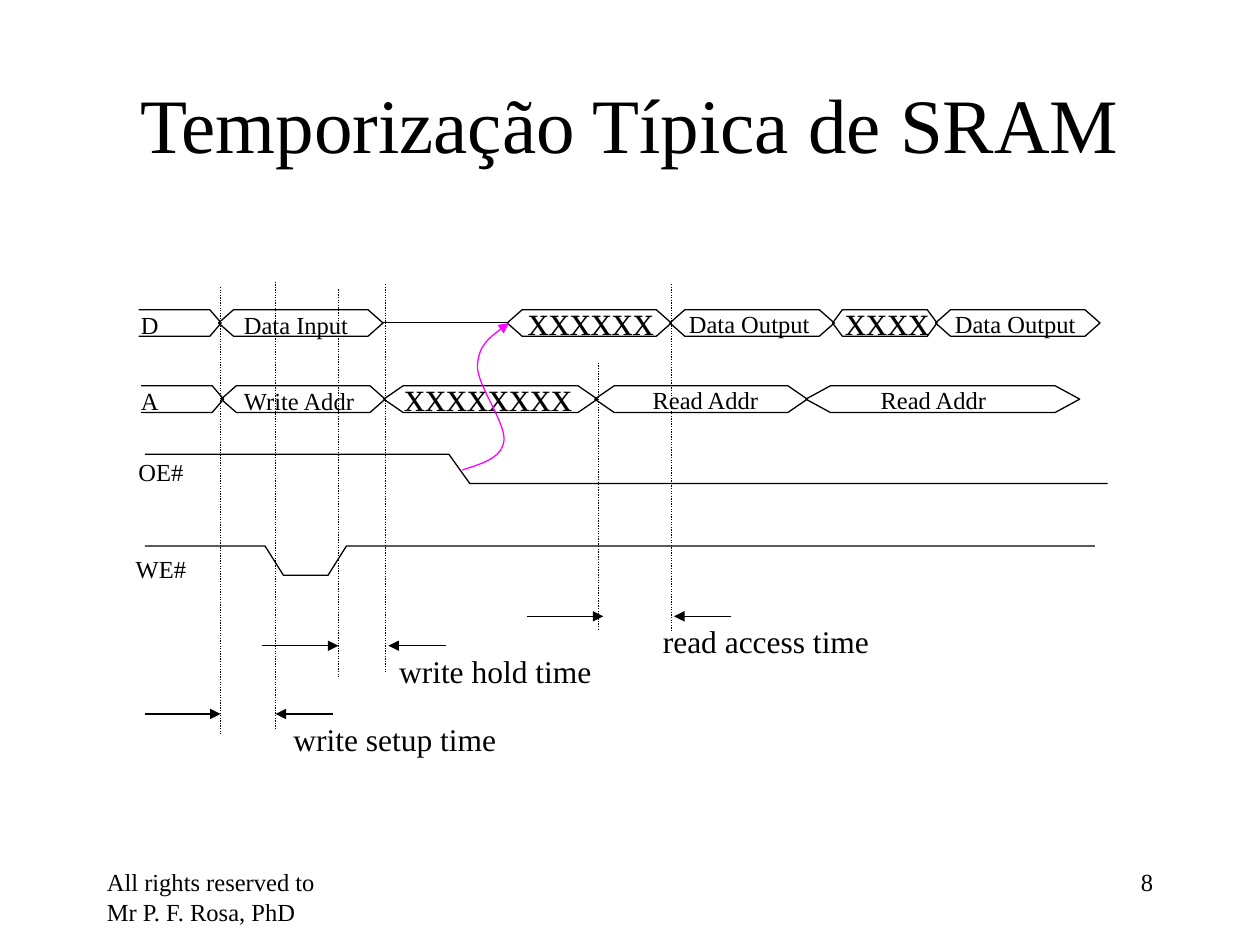
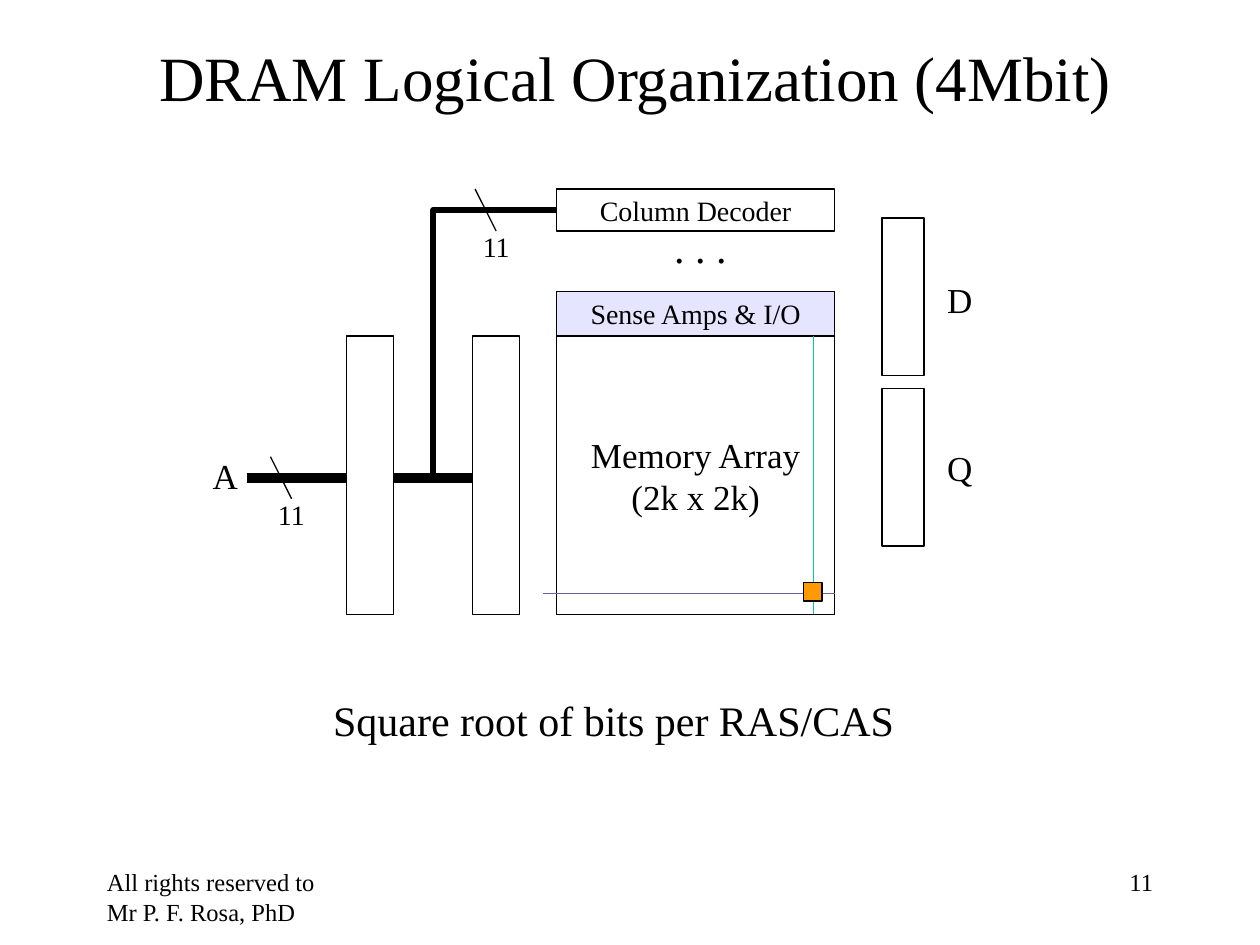
from pptx import Presentation
from pptx.dml.color import RGBColor
from pptx.enum.dml import MSO_LINE
from pptx.enum.shapes import MSO_CONNECTOR, MSO_SHAPE
from pptx.enum.text import MSO_ANCHOR, MSO_AUTO_SIZE, PP_ALIGN
from pptx.oxml.ns import qn
from pptx.util import Pt
from lxml.etree import SubElement

# Shared look
FONT = "Times New Roman"
BLACK, WHITE, MAGENTA = "000000", "FFFFFF", "FF00FF"
LILAC, SLATE, GREEN, ORANGE = "CCCCFF", "666699", "00CC99", "FF9900"
THIN = 0.75
FOOTER = "All rights reserved to Mr P. F. Rosa, PhD"

# SRAM timing: bus cells are (left tip, right tip, slant)
BUS_HEIGHT = 15.2
BUSES = [
    {"top": 177, "open": (79.2, 126.4, 6.5), "cells": [
        (124.9, 218.9, 8.6), (289.8, 383.6, 8.6), (382.8, 476.8, 8.6),
        (475.8, 535.5, 5.6), (534.6, 628.6, 8.6)]},
    {"top": 220.5, "open": (80.6, 127.8, 6.5), "cells": [
        (126.4, 220.1, 8.6), (219.3, 341.4, 11), (339.9, 461.3, 11),
        (460.5, 617, 14)]},
]
IDLE_DATA = (218.9, 184.3, 290.9, 184.3)
SIGNALS = [
    [(82.8, 259.5), (256.5, 259.5), (268.5, 276.3), (633, 276.3)],
    [(82.8, 312), (151.5, 312), (162, 328.7), (187.5, 328.7), (198, 312),
     (625.7, 312)],
]
# Labels: text, left, top, width, size
TIMING_LABELS = [
    ("xxxxxxxx", 223.9, 207.4, 111, 24), ("xxxxxx", 294.5, 164.2, 87, 24),
    ("xxxx", 475.9, 164.2, 63, 24),
    ("D", 73.4, 173.8, 24.5, 14), ("Data Input", 132.3, 173.8, 74, 14),
    ("A", 73.4, 217.3, 24.5, 14), ("Write Addr", 132.3, 217.3, 78.5, 14),
    ("Read Addr", 365.8, 216.3, 75.6, 14), ("Read Addr", 496.1, 216.3, 75.6, 14),
    ("Data Output", 386.6, 172.9, 83.5, 14), ("Data Output", 538.6, 172.9, 83.5, 14),
    ("OE#", 72, 257.8, 40.3, 14), ("WE#", 70.5, 313, 43.2, 14),
    ("write setup time", 160.6, 408, 130.3, 18),
    ("write hold time", 221, 369, 124.6, 18),
    ("read access time", 371.7, 352, 132.5, 18),
]
# Time marks: x, top, bottom
MARKS = [(126, 164, 419.5), (157.5, 161, 416.6), (193.4, 165.3, 387),
         (220.5, 162.4, 384.2), (342, 207.4, 360), (383.8, 162.4, 360)]
# Intervals: y, then start and tip of the two facing arrows
INTERVALS = [(408, (82.8, 126), (190.1, 157.5)),
             (369, (150, 193.4), (254.9, 222)),
             (352.2, (301, 344.7), (418, 385.2))]
CAUSE_START = (264.2, 268.6)
CAUSE_CURVES = [
    [(275, 265), (286.6, 262.1), (288, 252)],
    [(289.4, 241.9), (272.2, 219.6), (272.9, 208.8)],
    [(273.6, 197.3), (282.2, 190.8), (290.9, 184.6)],
]

# DRAM organization: rectangles are left, top, width, height
LATCHES = [(198, 192, 27, 159), (270, 192, 27, 159)]
BUFFERS = [(504, 124.5, 24, 90), (504, 222, 24, 90)]
ARRAY = (318, 192, 159, 159)
SENSE_AMPS = (318, 166.5, 159, 25.5)
COLUMN_DECODER = (318, 108, 159, 24)
SELECTED_BIT = (459, 332.7, 10.8, 10.8)
ADDRESS_BUS = (277.2, 273, 141, 273)
COLUMN_BUS = [(247.5, 273), (247.5, 120), (318, 120)]
BUS_SLASHES = [(154.6, 261, 166.6, 285), (271.5, 108, 283.5, 132)]
ROW_LINE = (310.5, 339, 477, 339)
COLUMN_LINE = (465, 192, 465, 351)
DRAM_LABELS = [
    ("A", 114.5, 256.4, 28.8, 20), ("11", 151.7, 280.8, 30.2, 16),
    (". . .", 378.2, 123.2, 44.6, 24), ("11", 268.8, 127.7, 30.2, 16),
    ("D", 534.2, 155.6, 28.8, 20), ("Q", 534.2, 251.7, 28.8, 20),
    ("Square root of bits per RAS/CAS", 183.3, 393.5, 335.5, 24),
]


def color(value):
    return RGBColor.from_string(value)


def format_text(frame, size, align, wrap=False, anchor=MSO_ANCHOR.TOP):
    frame.word_wrap = wrap
    frame.vertical_anchor = anchor
    for para in frame.paragraphs:
        para.alignment = align
        for span in para.runs:
            span.font.name, span.font.size = FONT, Pt(size)
            span.font.color.rgb = color(BLACK)


def add_label(page, text, left, top, width, size, align=PP_ALIGN.LEFT, wrap=False):
    height = 1.2 * size + 7.2
    box = page.shapes.add_textbox(Pt(left), Pt(top), Pt(width), Pt(height))
    box.text_frame.text = text
    format_text(box.text_frame, size, align, wrap)
    if not wrap:
        # Growing with its text keeps a label on one line
        box.text_frame.auto_size = MSO_AUTO_SIZE.SHAPE_TO_FIT_TEXT


def add_page(title, number, left, top, size):
    page = deck.slides.add_slide(deck.slide_layouts[5])
    heading = page.shapes.title
    heading.left, heading.top = Pt(left), Pt(top)
    heading.width, heading.height = Pt(612), Pt(90)
    heading.text_frame.text = title
    heading.text_frame.auto_size = MSO_AUTO_SIZE.NONE
    format_text(heading.text_frame, size, PP_ALIGN.CENTER, True, MSO_ANCHOR.MIDDLE)
    add_label(page, FOOTER, 54, 492, 150, 14, wrap=True)
    add_label(page, str(number), 516, 492, 150, 14, PP_ALIGN.RIGHT, True)
    return page


def style_line(shape, line_color=BLACK, width=THIN):
    shape.line.color.rgb = color(line_color)
    shape.line.width = Pt(width)


def add_arrowhead(shape):
    SubElement(shape.line._get_or_add_ln(), qn("a:tailEnd"), type="triangle")


def add_line(page, ends, line_color=BLACK, width=THIN, dotted=False, arrow=False):
    line = page.shapes.add_connector(MSO_CONNECTOR.STRAIGHT, *map(Pt, ends))
    style_line(line, line_color, width)
    if dotted:
        line.line.dash_style = MSO_LINE.ROUND_DOT
    if arrow:
        add_arrowhead(line)
    SubElement(line._element.spPr, qn("a:effectLst"))


def add_outline(page, points, closed=False, line_color=BLACK, width=THIN):
    first, *rest = [(Pt(x), Pt(y)) for x, y in points]
    builder = page.shapes.build_freeform(*first, scale=1.0)
    builder.add_line_segments(rest, close=closed)
    outline = builder.convert_to_shape()
    outline.shadow.inherit = False
    outline.fill.background()
    style_line(outline, line_color, width)
    return outline


def add_curve(page, start, curves, line_color):
    points = [start] + [point for curve in curves for point in curve]
    outline = add_outline(page, points, line_color=line_color)
    track = next(outline._element.iter(qn("a:path")))
    segments = track.findall(qn("a:lnTo"))
    for first in range(0, len(segments), 3):
        bend = SubElement(track, qn("a:cubicBezTo"))
        for segment in segments[first:first + 3]:
            bend.append(segment[0])
            track.remove(segment)
    add_arrowhead(outline)


def add_box(page, place, fill=None, opacity=None, text="", size=16):
    box = page.shapes.add_shape(MSO_SHAPE.RECTANGLE, *map(Pt, place))
    box.shadow.inherit = False
    if fill:
        box.fill.solid()
        box.fill.fore_color.rgb = color(fill)
    else:
        box.fill.background()
    if opacity:
        tint = next(box._element.spPr.iter(qn("a:srgbClr")))
        SubElement(tint, qn("a:alpha"), val=str(opacity * 1000))
    style_line(box)
    if text:
        box.text_frame.text = text
        format_text(box.text_frame, size, PP_ALIGN.CENTER, anchor=MSO_ANCHOR.MIDDLE)


deck = Presentation()
deck.slide_width, deck.slide_height = Pt(720), Pt(540)

# SRAM timing diagram
page = add_page("Temporização Típica de SRAM", 8, 54, 25.2, 44)
for bus in BUSES:
    top, bottom = bus["top"], bus["top"] + BUS_HEIGHT
    middle = (top + bottom) / 2
    left, right, slant = bus["open"]
    add_outline(page, [(left, top), (right - slant, top), (right, middle),
                       (right - slant, bottom), (left, bottom)])
    for left, right, slant in bus["cells"]:
        add_outline(page, [(left, middle), (left + slant, top), (right - slant, top),
                           (right, middle), (right - slant, bottom),
                           (left + slant, bottom)], closed=True)
add_line(page, IDLE_DATA)
for signal in SIGNALS:
    add_outline(page, signal)
for label in TIMING_LABELS:
    add_label(page, *label)
for x, top, bottom in MARKS:
    add_line(page, (x, top, x, bottom), dotted=True)
for y, *arrows in INTERVALS:
    for start, tip in arrows:
        add_line(page, (start, y, tip, y), arrow=True)
add_curve(page, CAUSE_START, CAUSE_CURVES, MAGENTA)

# DRAM block diagram
page = add_page("DRAM Logical Organization (4Mbit)", 11, 57, -1.5, 36)
add_line(page, ADDRESS_BUS, width=5.5)
for latch in LATCHES:
    add_box(page, latch, WHITE)
add_box(page, ARRAY, text="Memory Array\n(2k x 2k)", size=20)
add_box(page, SENSE_AMPS, LILAC, 50, "Sense Amps & I/O")
add_box(page, COLUMN_DECODER, text="Column Decoder")
add_outline(page, COLUMN_BUS, width=3.25)
for slash in BUS_SLASHES:
    add_line(page, slash)
add_line(page, ROW_LINE, SLATE)
add_line(page, COLUMN_LINE, GREEN)
add_box(page, SELECTED_BIT, ORANGE)
for buffer in BUFFERS:
    add_box(page, buffer)
for label in DRAM_LABELS:
    add_label(page, *label)

deck.save("out.pptx")
